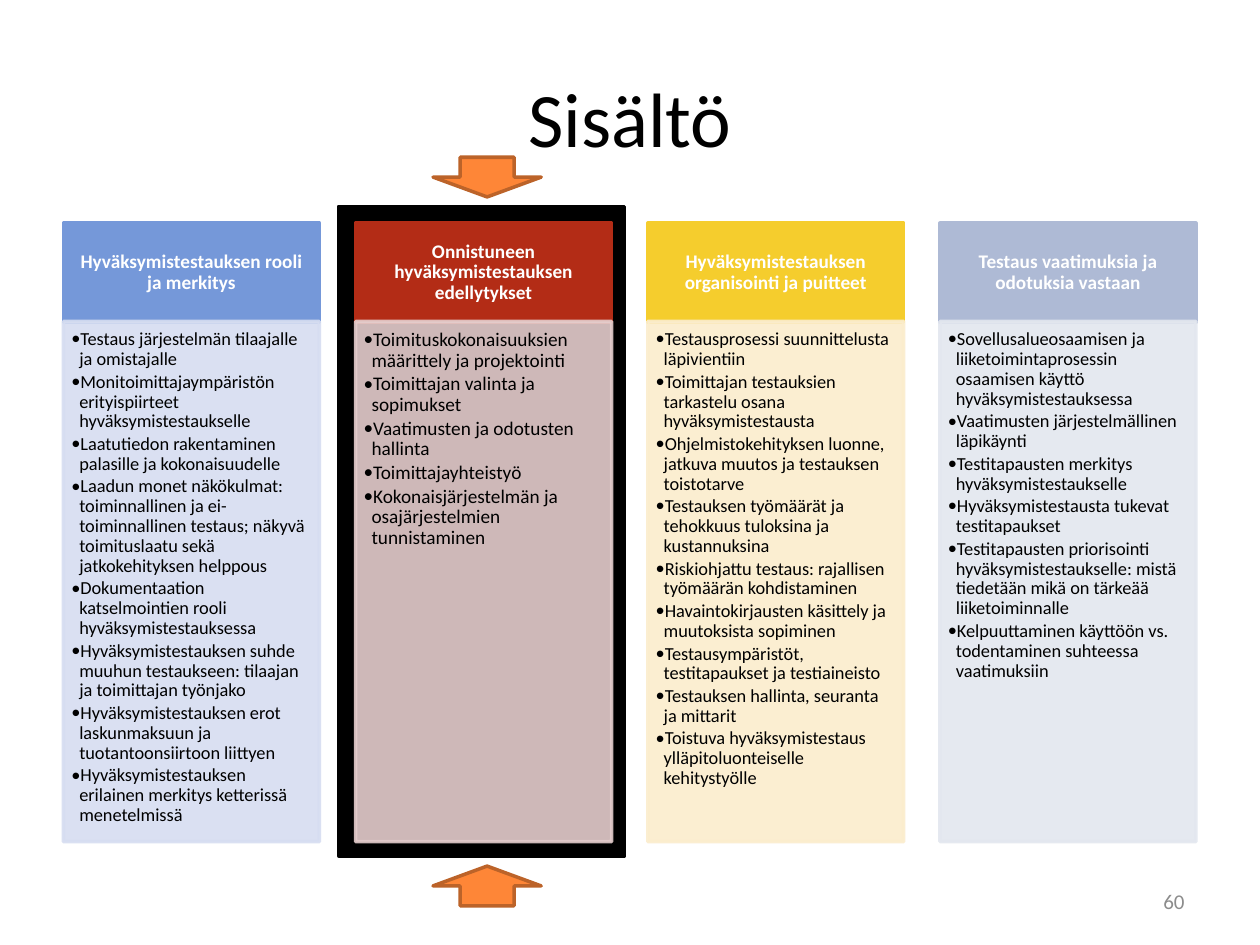
import pptx
import pptx.util
import pptx.dml.color
import pptx.enum.shapes
import pptx.enum.text
import pptx.oxml.ns
import lxml.etree

Cm, Pt = pptx.util.Cm, pptx.util.Pt
Kind = pptx.enum.shapes.MSO_SHAPE
Side = pptx.enum.text.PP_ALIGN
Anchor = pptx.enum.text.MSO_ANCHOR
rgb = pptx.dml.color.RGBColor.from_string
qn = pptx.oxml.ns.qn

hues = {
    "black": "000000", "white": "FFFFFF", "grey": "8C8C8C",
    "orange": "FE8637", "rust": "BC6329",
    "blue": "7598D9", "pale blue": "D6DDF1",
    "red": "B32C16", "pale red": "E5CDCC",
    "yellow": "F5CD2D", "pale yellow": "FBEDCD",
    "slate": "AEBAD5", "pale slate": "E3E7EF",
}

# colour, body text size, heading, points
topics = [
    ("blue", 10.5, "Hyväksymistestauksen rooli ja merkitys", [
        "Testaus järjestelmän tilaajalle ja omistajalle",
        "Monitoimittajaympäristön erityispiirteet hyväksymistestaukselle",
        "Laatutiedon rakentaminen palasille ja kokonaisuudelle",
        "Laadun monet näkökulmat: toiminnallinen ja ei-toiminnallinen testaus; "
        "näkyvä toimituslaatu sekä jatkokehityksen helppous",
        "Dokumentaation katselmointien rooli hyväksymistestauksessa",
        "Hyväksymistestauksen suhde muuhun testaukseen: tilaajan ja toimittajan työnjako",
        "Hyväksymistestauksen erot laskunmaksuun ja tuotantoonsiirtoon liittyen",
        "Hyväksymistestauksen erilainen merkitys ketterissä menetelmissä",
    ]),
    ("red", 11, "Onnistuneen hyväksymistestauksen edellytykset", [
        "Toimituskokonaisuuksien määrittely ja projektointi",
        "Toimittajan valinta ja sopimukset",
        "Vaatimusten ja odotusten hallinta",
        "Toimittajayhteistyö",
        "Kokonaisjärjestelmän ja osajärjestelmien tunnistaminen",
    ]),
    ("yellow", 10.5, "Hyväksymistestauksen organisointi ja puitteet", [
        "Testausprosessi suunnittelusta läpivientiin",
        "Toimittajan testauksien tarkastelu osana hyväksymistestausta",
        "Ohjelmistokehityksen luonne, jatkuva muutos ja testauksen toistotarve",
        "Testauksen työmäärät ja tehokkuus tuloksina ja kustannuksina",
        "Riskiohjattu testaus: rajallisen työmäärän kohdistaminen",
        "Havaintokirjausten käsittely ja muutoksista sopiminen",
        "Testausympäristöt, testitapaukset ja testiaineisto",
        "Testauksen hallinta, seuranta ja mittarit",
        "Toistuva hyväksymistestaus ylläpitoluonteiselle kehitystyölle",
    ]),
    ("slate", 10.5, "Testaus vaatimuksia ja odotuksia vastaan", [
        "Sovellusalueosaamisen ja liiketoimintaprosessin osaamisen käyttö "
        "hyväksymistestauksessa",
        "Vaatimusten järjestelmällinen läpikäynti",
        "Testitapausten merkitys hyväksymistestaukselle",
        "Hyväksymistestausta tukevat testitapaukset",
        "Testitapausten priorisointi hyväksymistestaukselle: mistä tiedetään "
        "mikä on tärkeää liiketoiminnalle",
        "Kelpuuttaminen käyttöön vs. todentaminen suhteessa vaatimuksiin",
    ]),
]

deck = pptx.Presentation()
deck.slide_width, deck.slide_height = Cm(25.4), Cm(19.05)
slide = deck.slides.add_slide(deck.slide_layouts[6])


def draw(kind, left, top, width, height, fill, line):
    shape = slide.shapes.add_shape(kind, Cm(left), Cm(top), Cm(width), Cm(height))
    shape.shadow.inherit = False
    shape.fill.solid()
    shape.fill.fore_color.rgb = rgb(hues[fill])
    shape.line.color.rgb = rgb(hues[line])
    shape.line.width = Pt(2)
    return shape


def write(shape, text, size, hue, side, anchor, pad=(0.25, 0.13, 0.25, 0.13), bold=False):
    """Fill the shape with text, one paragraph a line; pad is left, top, right, bottom in cm."""
    frame = shape.text_frame
    frame.text = text
    frame.word_wrap = True
    frame.vertical_anchor = anchor
    frame.margin_left, frame.margin_top, frame.margin_right, frame.margin_bottom = map(Cm, pad)
    for para in frame.paragraphs:
        para.alignment = side
        for run in para.runs:
            run.font.name = "Calibri"
            run.font.size = Pt(size)
            run.font.bold = bold
            run.font.color.rgb = rgb(hues[hue])
    return frame.paragraphs


draw(Kind.RECTANGLE, 6.83, 4.16, 5.76, 13.1, "black", "black")

title = slide.shapes.add_textbox(Cm(1.27), Cm(0.76), Cm(22.86), Cm(3.18))
write(title, "Sisältö", 44, "black", Side.CENTER, Anchor.MIDDLE)

for col, (hue, size, name, points) in enumerate(topics):
    left = 1.28 + col * 5.89
    head = draw(Kind.RECTANGLE, left, 4.5, 5.16, 2, hue, hue)
    paras = write(head, name, 11, "white", Side.CENTER, Anchor.MIDDLE,
                  (0.23, 0.12, 0.23, 0.13), True)
    paras[0].line_spacing = 0.9

    pale = "pale " + hue
    body = draw(Kind.RECTANGLE, left, 6.48, 5.16, 10.49, pale, pale)
    for tint in body._element.spPr.iter(qn("a:srgbClr")):
        lxml.etree.SubElement(tint, qn("a:alpha"), val="90000")
    paras = write(body, "\n".join(points), size, "black", Side.LEFT, Anchor.TOP,
                  (0.16, 0.17, 0.23, 0.25))
    for para in paras:
        para.level = 1
        para.line_spacing = 0.9
        para.space_after = Pt(1.6)
        props = para._p.get_or_add_pPr()
        props.set("marL", str(Cm(0.16)))
        props.set("indent", str(-Cm(0.16)))
        lxml.etree.SubElement(props, qn("a:buFont"), typeface="Calibri")
        lxml.etree.SubElement(props, qn("a:buChar"), char="•")

for top, turn in ((17.46, 0), (3.17, 180)):
    arrow = draw(Kind.UP_ARROW, 8.73, top, 2.18, 0.8, "orange", "rust")
    arrow.rotation = turn

number = slide.shapes.add_textbox(Cm(18.2), Cm(17.66), Cm(5.93), Cm(1.01))
write(number, "60", 12, "grey", Side.RIGHT, Anchor.MIDDLE)

deck.save("out.pptx")
